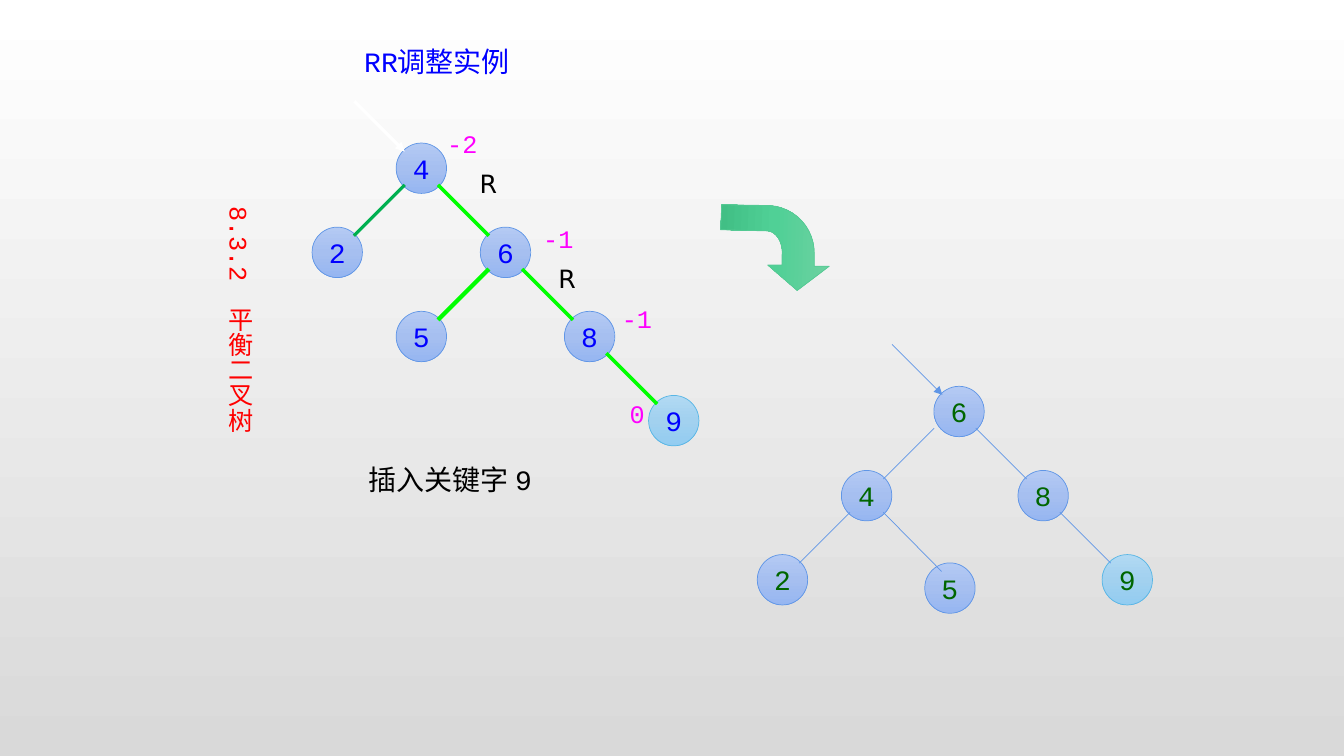
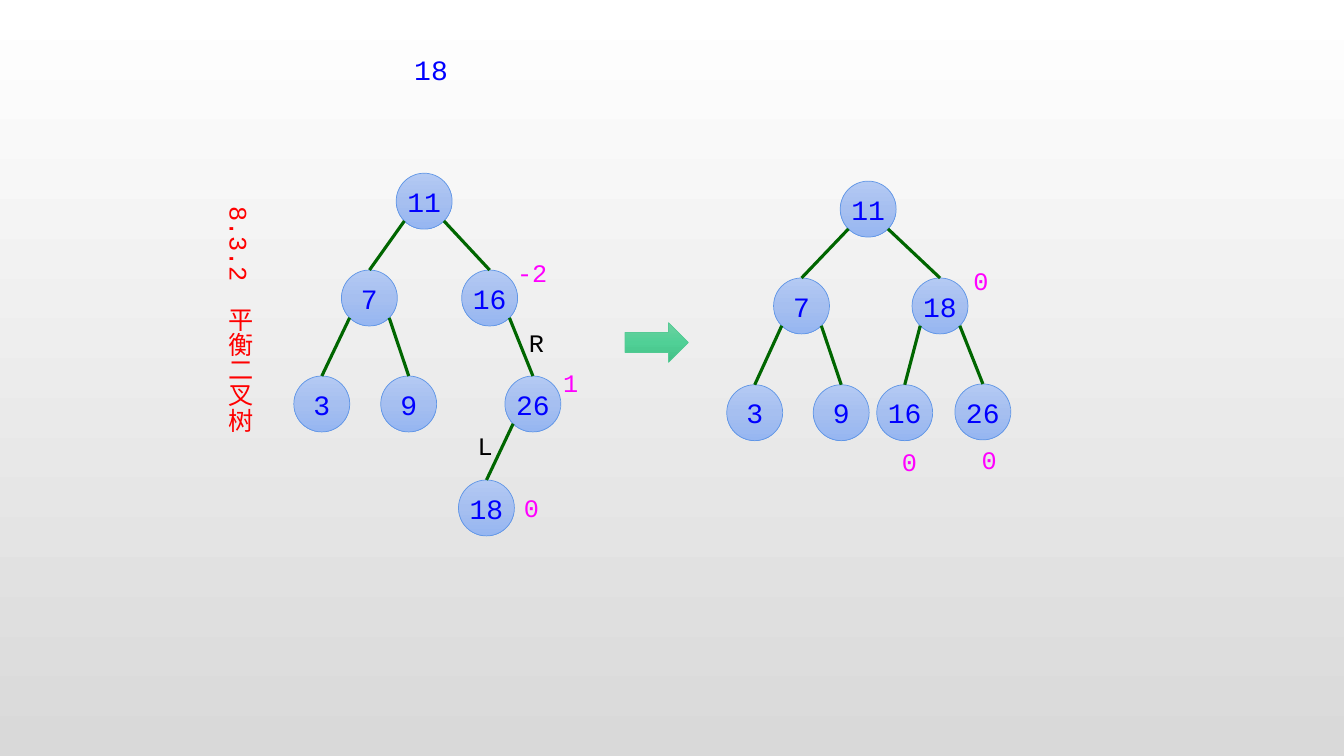
from math import sqrt

from lxml.etree import SubElement
from pptx import Presentation
from pptx.dml.color import RGBColor
from pptx.enum.shapes import MSO_CONNECTOR, MSO_SHAPE
from pptx.enum.text import MSO_ANCHOR, PP_ALIGN
from pptx.oxml.ns import qn
from pptx.util import Cm, Pt

# Shared look
COLORS = {
    "key": "0000FF", "balanced key": "006600", "factor": "FF00FF",
    "section": "FF0000", "text": "000000", "white": "FFFFFF",
    "node line": "6096E6", "new line": "58B6E5", "arrow line": "56CA95",
    "left branch": "00B050", "path": "00FF00", "branch": "006600",
}
GRADIENTS = {
    "page": ["FFFFFF", "D9D9D9"],
    "node": ["B4CAF3", "A6BFF0", "96B6F1"],
    "new": ["B1D9F3", "A2D1EF", "92CCF1"],
    "arrow": ["6DD1A1", "50D096", "41BF85"],
}
FONT = "Courier New"
SECTION = "8.3.2 平衡二叉树"

# Trees (cm): node name -> centre; edge -> (parent, child, options)
STEP = 2.12
SMALL = {"size": 1.27, "corner": 0.42, "to_top": False}
LARGE = {"size": 1.41, "corner": 1.41 / 2 / sqrt(2), "to_top": True,
         "color": "branch", "width": 2.25}
RR_BEFORE = {
    **SMALL, "color": "path", "width": 2.5, "new": "9",
    "nodes": {key: (10.62 + column * STEP, 4.24 + row * STEP)
              for key, column, row in [("4", 0, 0), ("2", -1, 1), ("6", 1, 1),
                                       ("5", 0, 2), ("8", 2, 2), ("9", 3, 3)]},
    "edges": [("4", "2", {"color": "left branch", "width": 2.25}),
              ("4", "6", {}), ("6", "5", {"width": 3}),
              ("6", "8", {}), ("8", "9", {})],
    "root": ("4", "white", 2.25),
}
RR_AFTER = {
    **SMALL, "color": "node line", "width": 0.5, "new": "9",
    "key_color": "balanced key",
    "nodes": {"6": (24.17, 10.37), "4": (21.84, 12.49), "8": (26.29, 12.49),
              "2": (19.72, 14.61), "5": (23.94, 14.82), "9": (28.41, 14.61)},
    "edges": [("6", "4", {"shift_start": -0.21}), ("6", "8", {}),
              ("4", "2", {}), ("4", "5", {"shift_end": 0.21}), ("8", "9", {})],
    "root": ("6", "node line", 0.5),
}
RL_BEFORE = {
    **LARGE,
    "nodes": {"11": (10.69, 5.07), "7": (9.31, 7.51), "16": (12.34, 7.51),
              "3": (8.11, 10.18), "9": (10.3, 10.18), "26": (13.43, 10.18),
              "18": (12.26, 12.8)},
    "edges": [("11", "7", {}), ("11", "16", {}), ("7", "3", {}),
              ("7", "9", {}), ("16", "26", {}), ("26", "18", {})],
}
RL_AFTER = {
    **LARGE,
    "nodes": {"11": (21.88, 5.27), "7": (20.2, 7.71), "18": (23.69, 7.71),
              "3": (19.02, 10.4), "9": (21.2, 10.4), "16": (22.8, 10.4),
              "26": (24.77, 10.38)},
    "edges": [("11", "7", {}), ("11", "18", {}), ("7", "3", {}),
              ("7", "9", {}), ("18", "16", {}), ("18", "26", {})],
}

# Small labels: text, left, top; digits are balance factors
RR_LABELS = [("R", 11.84, 4.11), ("R", 13.82, 6.5), ("0", 15.62, 9.91),
             ("-1", 15.42, 7.52), ("-1", 13.44, 5.51), ("-2", 11.02, 3.12)]
RL_LABELS = [("1", 13.94, 9.12), ("-2", 12.78, 6.35), ("0", 12.95, 12.27),
             ("R", 13.08, 8.13), ("L", 11.79, 10.72), ("0", 24.49, 11.07),
             ("0", 24.28, 6.55), ("0", 22.48, 11.13)]

# Bent arrow outline: points, and curves as four control points
BENT_ARROW = [
    [(20.09, 7.32)], [(20.9, 6.71)], [(20.52, 6.71)],
    [(20.52, 6.43), (20.55, 5.77), (20.04, 5.21), (19.38, 5.18)],
    [(18.19, 5.16)], [(18.16, 5.79)],
    [(19.35, 5.82), (19.56, 5.84), (19.74, 6.1), (19.71, 6.43)],
    [(19.71, 6.68)], [(19.35, 6.68)],
]


def rgb(name):
    return RGBColor.from_string(COLORS[name])


def set_gradient(fill, name, angle=270):
    """Even gradient stops; 270 runs from top to bottom."""
    fill.gradient()
    fill.gradient_angle = angle
    stops = fill._xPr.find(".//" + qn("a:gsLst"))
    stops.clear()
    colors = GRADIENTS[name]
    for index, color in enumerate(colors):
        stop = SubElement(stops, qn("a:gs"),
                          pos=str(100000 * index // (len(colors) - 1)))
        SubElement(stop, qn("a:srgbClr"), val=color)


def style_shape(shape, gradient, line, angle=270):
    shape.shadow.inherit = False
    set_gradient(shape.fill, gradient, angle)
    shape.line.color.rgb = rgb(line)
    shape.line.width = Pt(0.5)


def write(frame, text, size=20, color="key", font=FONT, align=PP_ALIGN.LEFT,
          spacing=None):
    para = frame.paragraphs[0]
    para.alignment = align
    if spacing:
        para.line_spacing = spacing
    span = para.add_run()
    span.text = text
    span.font.size = Pt(size)
    span.font.name = font
    span.font.color.rgb = rgb(color)


def add_text(page, text, left, top, width, height, vertical=False, **format):
    box = page.shapes.add_textbox(Cm(left), Cm(top), Cm(width), Cm(height))
    frame = box.text_frame
    frame.word_wrap = True
    if vertical:
        frame._txBody.bodyPr.set("vert", "eaVert")
    write(frame, text, **format)


def add_labels(page, labels, letter_font=FONT):
    for text, left, top in labels:
        letter = text.isalpha()
        add_text(page, text, left, top, 0.8 * len(text), 1.02, size=18,
                 color="text" if letter else "factor",
                 font=letter_font if letter else FONT)


def add_line(page, start, end, color, width, arrow=False):
    line = page.shapes.add_connector(
        MSO_CONNECTOR.STRAIGHT, *(Cm(value) for value in (*start, *end)))
    line.line.color.rgb = rgb(color)
    line.line.width = Pt(width)
    if arrow:
        SubElement(line.line._get_or_add_ln(), qn("a:tailEnd"), type="triangle")
    SubElement(line._element.spPr, qn("a:effectLst"))


def add_tree(page, tree):
    nodes, size, corner = tree["nodes"], tree["size"], tree["corner"]
    for key, (x, y) in nodes.items():
        node = page.shapes.add_shape(MSO_SHAPE.OVAL, Cm(x - size / 2),
                                     Cm(y - size / 2), Cm(size), Cm(size))
        is_new = key == tree.get("new")
        style_shape(node, "new" if is_new else "node",
                    "new line" if is_new else "node line")
        node.text_frame.word_wrap = False
        node.text_frame.vertical_anchor = MSO_ANCHOR.MIDDLE
        write(node.text_frame, key, color=tree.get("key_color", "key"),
              align=PP_ALIGN.CENTER)

    # Branches leave a lower corner and reach the child's top or facing corner
    for parent, child, options in tree["edges"]:
        (x1, y1), (x2, y2) = nodes[parent], nodes[child]
        side = corner if x2 > x1 else -corner
        start = (x1 + side + options.get("shift_start", 0), y1 + corner)
        if tree["to_top"]:
            end = (x2, y2 - size / 2)
        else:
            end = (x2 - side + options.get("shift_end", 0), y2 - corner)
        add_line(page, start, end, options.get("color", tree["color"]),
                 options.get("width", tree["width"]))

    if "root" in tree:
        key, color, width = tree["root"]
        x, y = (value - corner for value in nodes[key])
        add_line(page, (x - 1.27, y - 1.27), (x, y), color, width, arrow=True)


def curve_points(controls, count=12):
    if len(controls) == 1:
        return controls
    points = []
    for index in range(count + 1):
        t = index / count
        weights = ((1 - t) ** 3, 3 * t * (1 - t) ** 2, 3 * t * t * (1 - t), t ** 3)
        points.append(tuple(sum(weight * point[axis] for weight, point
                                in zip(weights, controls)) for axis in (0, 1)))
    return points


def add_bent_arrow(page):
    points = [(Cm(x), Cm(y)) for part in BENT_ARROW for x, y in curve_points(part)]
    builder = page.shapes.build_freeform(*points[0])
    builder.add_line_segments(points[1:], close=True)
    style_shape(builder.convert_to_shape(), "arrow", "arrow line", angle=178.5)


def add_page(deck):
    page = deck.slides.add_slide(deck.slide_layouts[6])
    set_gradient(page.background.fill, "page")
    # The wide space stands between the section number and its name
    add_text(page, SECTION.replace(" ", "　"), 5.28, 4.95, 1.27, 8.74,
             vertical=True, size=18, color="section")
    return page


def main():
    deck = Presentation()
    deck.slide_width, deck.slide_height = Cm(33.87), Cm(19.05)

    # RR rotation
    page = add_page(deck)
    add_text(page, "RR调整实例", 8.93, 0.79, 6.18, 1.32, spacing=1.25)
    add_tree(page, RR_BEFORE)
    add_tree(page, RR_AFTER)
    add_bent_arrow(page)
    add_text(page, "插入关键字 9", 9.04, 11.53, 7.16, 1.12, color="text")
    add_labels(page, RR_LABELS, letter_font="DejaVu Sans")

    # RL rotation
    page = add_page(deck)
    add_text(page, "18", 10.19, 1.19, 1.5, 1.12)
    add_tree(page, RL_BEFORE)
    add_tree(page, RL_AFTER)
    arrow = page.shapes.add_shape(MSO_SHAPE.RIGHT_ARROW, Cm(15.75), Cm(8.13),
                                  Cm(1.6), Cm(1))
    style_shape(arrow, "arrow", "arrow line")
    add_labels(page, RL_LABELS)

    deck.save("out.pptx")


if __name__ == "__main__":
    main()
